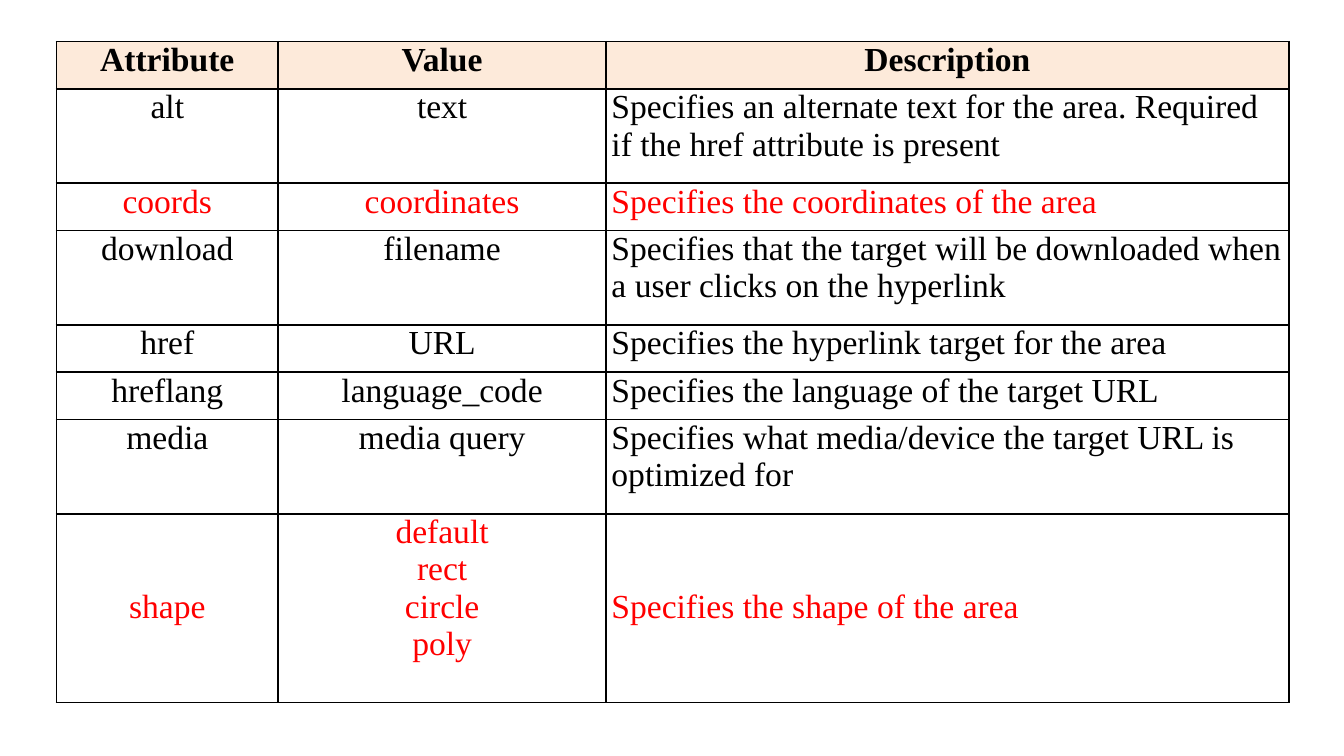
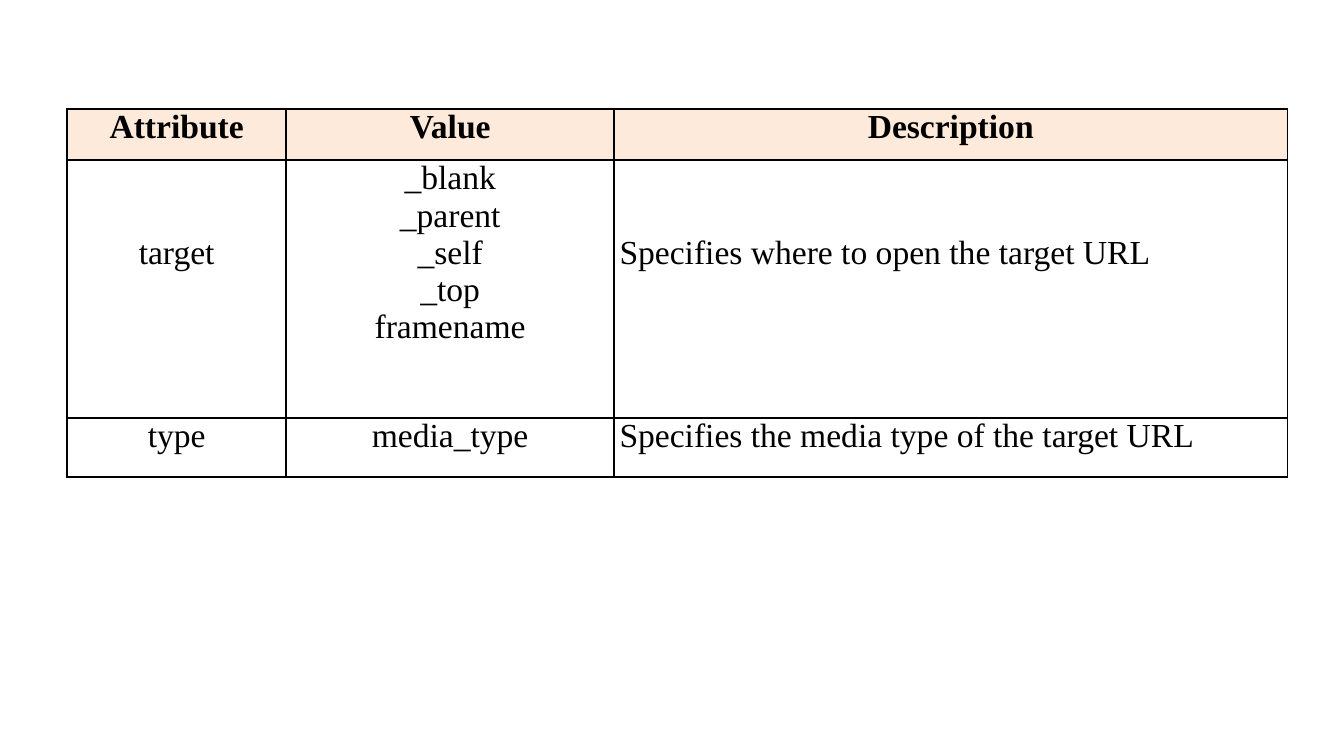
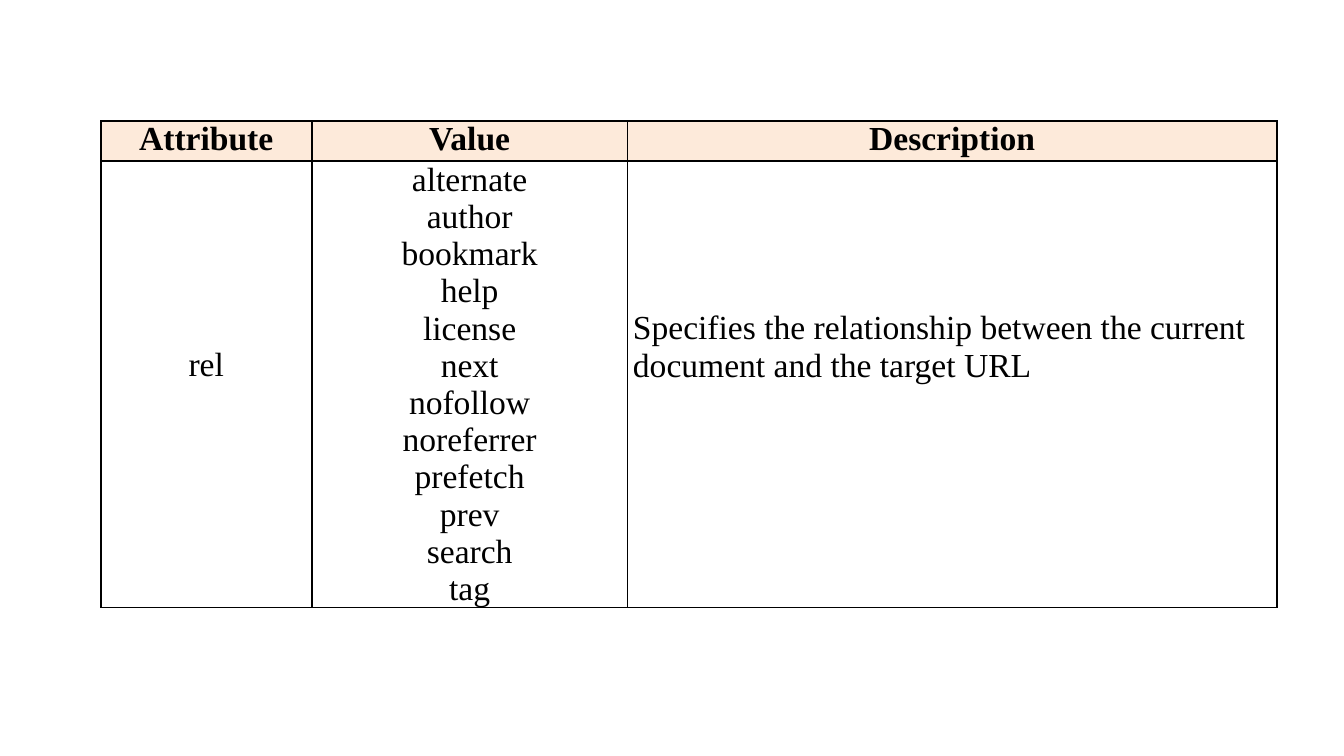
from lxml import etree
from pptx import Presentation
from pptx import util as u
from pptx.dml.color import RGBColor
from pptx.enum import text
from pptx.oxml import ns

HUES = {"ink": "000000", "red": "FF0000", "head": "FDEADA"}
FONT = "Times New Roman"
SIZE = 18
LINE = 19.9 / 72
UNIT = 4.92 / 14
HEAD = ("Attribute", "Value", "Description")


def edge(cell):
    props = cell._tc.get_or_add_tcPr()
    for side in ("lnL", "lnR", "lnT", "lnB"):
        line = etree.SubElement(props, ns.qn("a:" + side), w=str(u.Pt(1)))
        fill = etree.SubElement(line, ns.qn("a:solidFill"))
        etree.SubElement(fill, ns.qn("a:srgbClr"), val=HUES["ink"])


def write(cell, words, hue, bold, mid, skip):
    cell.margin_left = cell.margin_right = u.Inches(0.04)
    cell.margin_top = u.Inches(skip * LINE)
    cell.margin_bottom = 0
    cell.text_frame.text = words
    para = cell.text_frame.paragraphs[0]
    para.alignment = text.PP_ALIGN.CENTER if mid else text.PP_ALIGN.LEFT
    for run in para.runs:
        run.font.name = FONT
        run.font.size = u.Pt(SIZE)
        run.font.bold = bold
        run.font.color.rgb = RGBColor.from_string(HUES[hue])


SHAPES = "default", "rect", "circle", "poly"
FRAMES = "_blank", "_parent", "_self", "_top", "framename"
LINKS = ("alternate", "author", "bookmark", "help", "license", "next",
         "nofollow", "noreferrer", "prefetch", "prev", "search", "tag")

pages = [
    {
        "left": 0.42, "top": 0.31, "cols": (1.65, 2.44, 5.08),
        "rows": [UNIT * n for n in (1, 2, 1, 2, 1, 1, 2, 4)],
        "body": [
            ("alt", "text", "Specifies an alternate text for the area. "
             "Required if the href attribute is present"),
            ("coords", "coordinates", "Specifies the coordinates of the area"),
            ("download", "filename", "Specifies that the target will be "
             "downloaded when a user clicks on the hyperlink"),
            ("href", "URL", "Specifies the hyperlink target for the area"),
            ("hreflang", "language_code",
             "Specifies the language of the target URL"),
            ("media", "media query",
             "Specifies what media/device the target URL is optimized for"),
            ("shape", "\v".join(SHAPES), "Specifies the shape of the area"),
        ],
    },
    {
        "left": 0.5, "top": 0.81, "cols": (1.63, 2.44, 5.01),
        "rows": (0.38, 1.92, 0.44),
        "body": [
            ("target", "\v".join(FRAMES),
             "Specifies where to open the target URL"),
            ("type", "media_type",
             "Specifies the media type of the target URL"),
        ],
    },
    {
        "left": 0.75, "top": 0.9, "cols": (1.57, 2.35, 4.83),
        "rows": (0.3, len(LINKS) * LINE),
        "body": [
            ("rel", "\v".join(LINKS), "Specifies the relationship between "
             "the current document and the target URL"),
        ],
    },
]
skips = {"shape": (2, 0, 2), "target": (2, 0, 2), "rel": (5, 0, 4)}
marked = {"coords", "shape"}

deck = Presentation()
deck.slide_width = u.Inches(10)
deck.slide_height = deck.slide_width * 9 // 16

for page in pages:
    slide = deck.slides.add_slide(deck.slide_layouts[6])
    rows, cols = page["rows"], page["cols"]
    grid = slide.shapes.add_table(
        len(rows), len(cols), u.Inches(page["left"]), u.Inches(page["top"]),
        u.Inches(sum(cols)), u.Inches(sum(rows))).table
    grid.first_row = grid.horz_banding = False
    for col, wide in zip(grid.columns, cols):
        col.width = u.Inches(wide)
    for r, (high, entry) in enumerate(zip(rows, [HEAD] + page["body"])):
        grid.rows[r].height = u.Inches(high)
        hue = "red" if entry[0] in marked else "ink"
        gaps = skips.get(entry[0], (0, 0, 0))
        for c, words in enumerate(entry):
            cell = grid.cell(r, c)
            write(cell, words, hue, r == 0, r == 0 or c < 2, gaps[c])
            edge(cell)
            if r == 0:
                cell.fill.solid()
                cell.fill.fore_color.rgb = RGBColor.from_string(HUES["head"])
            else:
                cell.fill.background()

deck.save("out.pptx")
